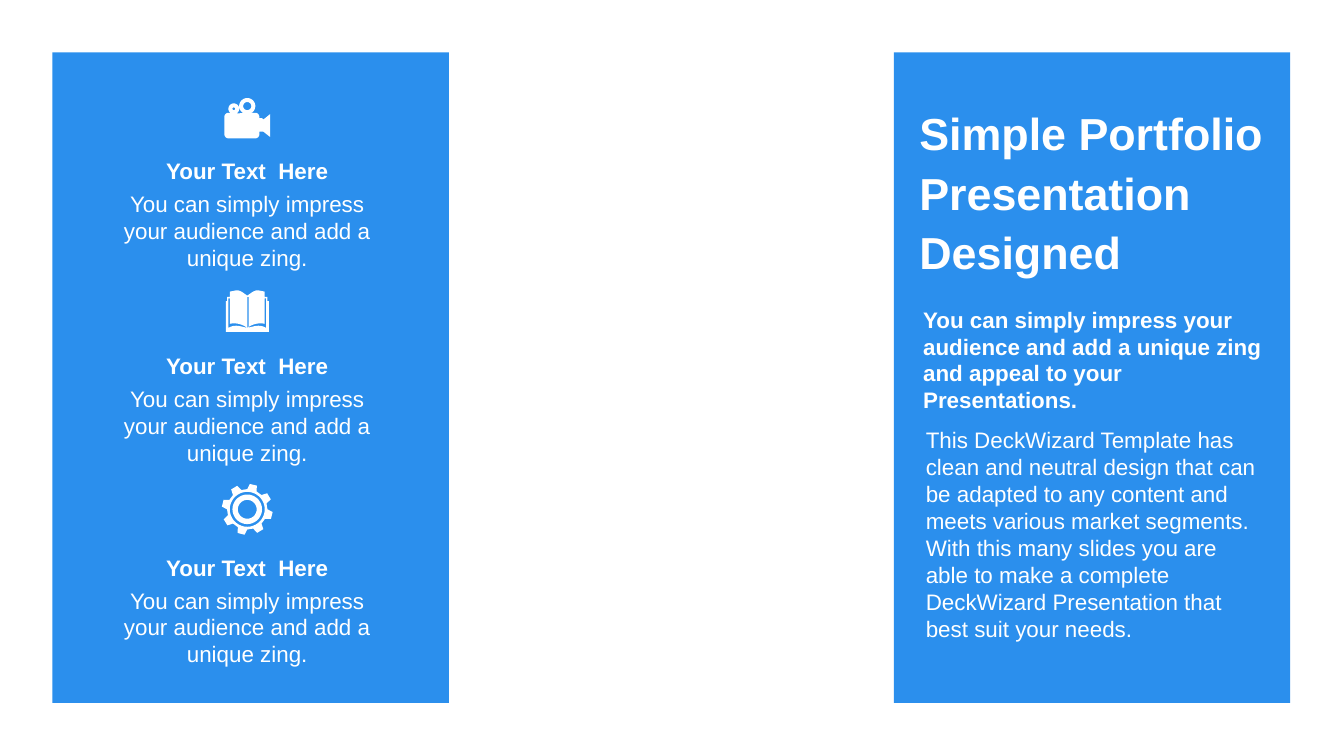
from math import cos, sin, radians
from pptx import Presentation
from pptx.dml.color import RGBColor
from pptx.enum import shapes, text
from pptx.util import Inches, Pt

# Content
TITLE = "Simple Portfolio Presentation Designed"
LEAD = ("You can simply impress your audience and add a unique zing "
        "and appeal to your Presentations.")
DETAIL = ("This DeckWizard Template has clean and neutral design that can be "
          "adapted to any content and meets various market segments. With this "
          "many slides you are able to make a complete DeckWizard Presentation "
          "that best suit your needs.")
HEADING = "Your Text  Here"
BLURB = "You can simply impress your audience and add a unique zing."
FEATURES = [(1.12, HEADING, BLURB), (2.57, HEADING, BLURB), (4.07, HEADING, BLURB)]

THEME = {"font": "Arial", "panel": RGBColor(0x2B, 0x8F, 0xED),
         "ink": RGBColor(0xFF, 0xFF, 0xFF), "title": 24, "body": 12}
PANEL_LEFTS, PANEL_TOP, PANEL_SIZE = (0.39, 6.65), 0.39, (2.95, 4.84)
AXIS = 1.84  # centre line of the icon column


# Outline helpers, all in inches
def arc(cx, cy, r, start=0, end=360, steps=36):
    angles = [radians(start + (end - start) * i / steps) for i in range(steps + 1)]
    return [(cx + r * cos(a), cy + r * sin(a)) for a in angles]


def curve(p0, p1, p2, p3, steps=12):
    points = []
    for i in range(steps + 1):
        t = i / steps
        weights = ((1 - t) ** 3, 3 * t * (1 - t) ** 2, 3 * t * t * (1 - t), t ** 3)
        points.append(tuple(sum(w * p[k] for w, p in zip(weights, (p0, p1, p2, p3)))
                            for k in (0, 1)))
    return points


def mirror(points):
    return [(2 * AXIS - x, y) for x, y in reversed(points)]


def camera():
    body = (arc(1.74, 0.81, 0.04, 120, 420) + arc(1.84, 0.79, 0.06, 120, 420)
            + arc(1.9, 0.87, 0.03, -90, 0, 6)
            + [(1.93, 0.88), (1.95, 0.88), (1.96, 0.89), (2.01, 0.85),
               (2.01, 1.02), (1.96, 0.98), (1.93, 0.98)]
            + arc(1.9, 1, 0.03, 0, 90, 6) + arc(1.7, 1, 0.03, 90, 180, 6)
            + arc(1.7, 0.87, 0.03, 180, 270, 6))
    return [body, arc(1.74, 0.81, 0.01), arc(1.84, 0.79, 0.03)]


def book():
    cover = (curve((AXIS, 2.2), (1.81, 2.18), (1.79, 2.16), (1.76, 2.16))
             + [(1.71, 2.17), (1.71, 2.21), (1.69, 2.21), (1.69, 2.24),
                (1.68, 2.24), (1.68, 2.47)])
    margin = (curve((AXIS, 2.44), (1.8, 2.41), (1.75, 2.4), (1.71, 2.41))
              + [(1.71, 2.22), (1.7, 2.22)]
              + curve((1.7, 2.44), (1.75, 2.41), (1.79, 2.43), (AXIS, 2.44)))
    spine = [(AXIS, 2.21), (AXIS + 0.01, 2.21), (AXIS + 0.01, 2.44), (AXIS, 2.44)]
    return [cover + mirror(cover), margin, mirror(margin), spine]


def gear(cy=3.79, teeth=8):
    profile = ((-14, 0.15), (-8, 0.19), (8, 0.19), (14, 0.15))
    rim = [arc(AXIS, cy, r, -76 + 360 / teeth * i + a, 0, 1)[0]
           for i in range(teeth) for a, r in profile]
    return [rim] + [arc(AXIS, cy, r) for r in (0.13, 0.11, 0.07)]


# Drawing helpers
def paint(sp, color):
    sp.fill.solid()
    sp.fill.fore_color.rgb = color
    sp.line.fill.background()
    sp.shadow.inherit = False


def add_icon(parent, contours):
    emu = [[(Inches(x), Inches(y)) for x, y in c] for c in contours]
    builder = parent.build_freeform(*emu[0][0])
    for i, points in enumerate(emu):
        if i:
            builder.move_to(*points[0])
        builder.add_line_segments(points[1:], close=True)
    paint(builder.convert_to_shape(), THEME["ink"])


def write(sp, words, size=THEME["body"], bold=False, align=text.PP_ALIGN.LEFT,
          spacing=None, grow=False):
    tf = sp.text_frame
    tf.word_wrap = True
    tf.auto_size = (text.MSO_AUTO_SIZE.SHAPE_TO_FIT_TEXT if grow
                    else text.MSO_AUTO_SIZE.NONE)
    tf.vertical_anchor = text.MSO_ANCHOR.MIDDLE
    p = tf.paragraphs[0]
    p.alignment = align
    p.space_before = Pt(0)
    if spacing:
        p.line_spacing = spacing
    r = p.add_run()
    r.text = words
    r.font.name, r.font.size, r.font.bold = THEME["font"], Pt(size), bold
    r.font.color.rgb = THEME["ink"]
    return tf


def add_text(parent, box, words, **fmt):
    return write(parent.add_textbox(*map(Inches, box)), words, **fmt)


prs = Presentation()
prs.slide_width = Inches(10)
prs.slide_height = prs.slide_width * 9 // 16
s = prs.slides.add_slide(prs.slide_layouts[5])

# Side panels
for left in PANEL_LEFTS:
    paint(s.shapes.add_shape(shapes.MSO_SHAPE.RECTANGLE,
                             *map(Inches, (left, PANEL_TOP, *PANEL_SIZE))),
          THEME["panel"])

# Feature list
for top, heading, blurb in FEATURES:
    group = s.shapes.add_group_shape().shapes
    centred = {"align": text.PP_ALIGN.CENTER, "grow": True}
    add_text(group, (0.79, top + 0.24, 2.1, 0.71), blurb, **centred)
    add_text(group, (0.79, top, 2.1, 0.3), heading, bold=True, **centred)
for contours in (gear(), book(), camera()):
    add_icon(s.shapes, contours)

# Title, raised above the panels
title = s.shapes.title
title.left, title.top, title.width, title.height = map(Inches, (6.74, 0.56, 2.76, 1.7))
write(title, TITLE, size=THEME["title"], bold=True, spacing=1.1)
s.shapes._spTree.append(title._element)

# Description
add_text(s.shapes, (6.77, 2.22, 2.72, 0.91), LEAD, bold=True, grow=True)
tf = add_text(s.shapes, (6.79, 3.21, 2.71, 1.73), DETAIL)
tf.margin_bottom = Inches(0.25)

prs.save("out.pptx")
